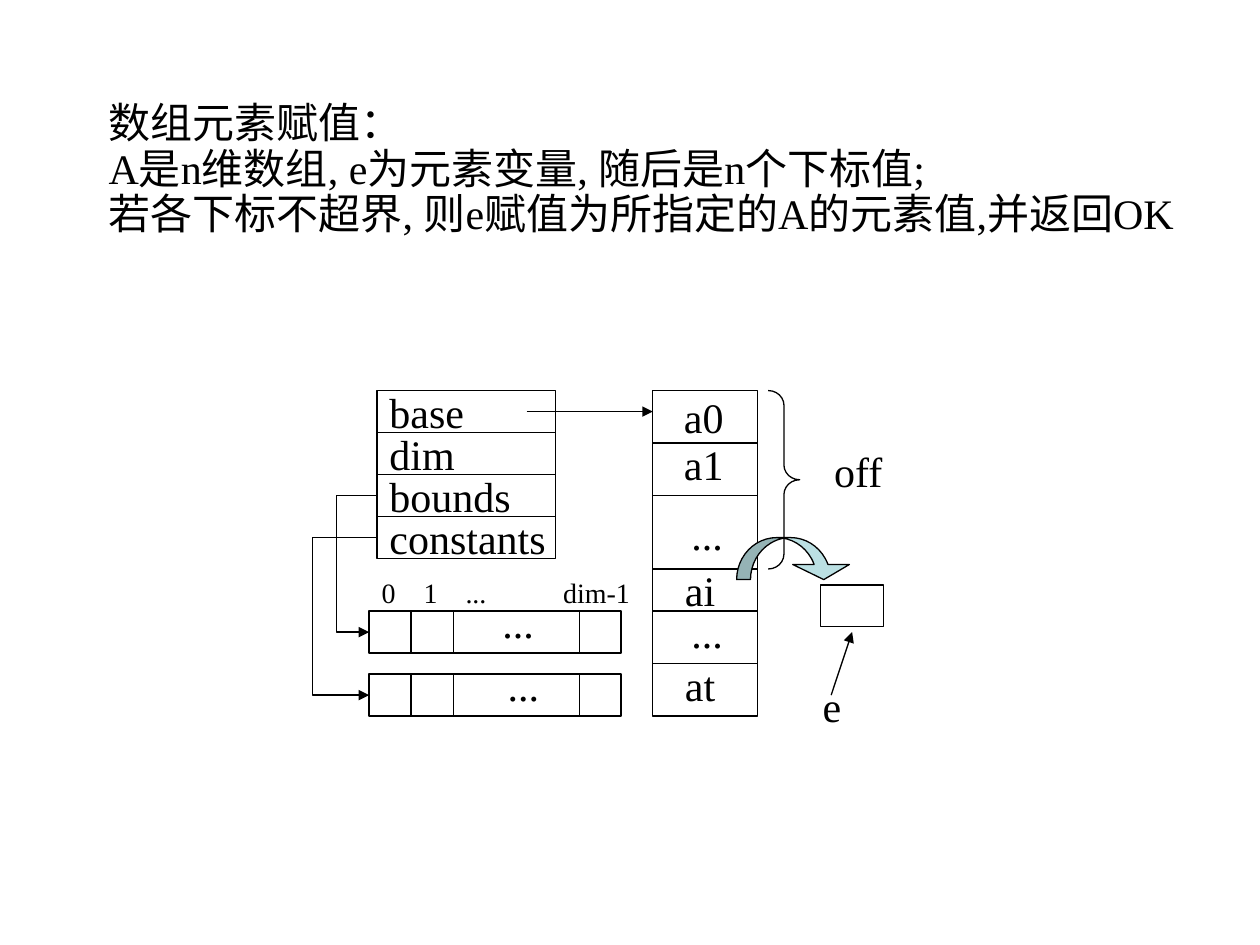
import pptx
import pptx.dml.color
import pptx.enum.shapes
import pptx.enum.text
import pptx.oxml
import pptx.oxml.ns
import pptx.util

BLACK = pptx.dml.color.RGBColor(0x00, 0x00, 0x00)
PALE_TEAL = pptx.dml.color.RGBColor(0xBB, 0xE0, 0xE3)
SHAPES = pptx.enum.shapes.MSO_SHAPE
CONNECTORS = pptx.enum.shapes.MSO_CONNECTOR


class Diagram:
    """Draws on a grid of 1/12 inch, starting at the top left of the diagram."""

    font_name = "Times New Roman"
    line_width = pptx.util.Pt(0.75)
    unit = 1 / 12
    left, top = 2.93, 3.1

    def __init__(self, slide):
        self.slide = slide

    def size(self, units):
        return pptx.util.Inches(units * self.unit)

    def point(self, column, row):
        return (pptx.util.Inches(self.left + column * self.unit),
                pptx.util.Inches(self.top + row * self.unit))

    def add_element(self, parent, tag, **attributes):
        element = pptx.oxml.parse_xml(f"<{tag} {pptx.oxml.ns.nsdecls('a')}/>")
        for name, value in attributes.items():
            element.set(name, str(value))
        parent.append(element)
        return element

    def shape(self, kind, column, row, width, height, adjustments=(), fill=None):
        shape = self.slide.shapes.add_shape(
            kind, *self.point(column, row), self.size(width), self.size(height))
        shape.shadow.inherit = False
        if fill is None:
            shape.fill.background()
        else:
            shape.fill.solid()
            shape.fill.fore_color.rgb = fill
        shape.line.color.rgb = BLACK
        shape.line.width = self.line_width
        for index, value in enumerate(adjustments):
            shape.adjustments[index] = value
        return shape

    def line(self, start, end, arrow=False, kind=CONNECTORS.STRAIGHT):
        connector = self.slide.shapes.add_connector(
            kind, *self.point(*start), *self.point(*end))
        connector.line.color.rgb = BLACK
        connector.line.width = self.line_width
        if arrow:
            self.add_element(connector.line._get_or_add_ln(), "a:tailEnd", type="triangle")
        self.add_element(connector._element.spPr, "a:effectLst")
        return connector

    def elbow(self, start, end, via_column):
        connector = self.line(start, end, arrow=True, kind=CONNECTORS.ELBOW)
        share = (via_column - start[0]) / (end[0] - start[0])
        guides = connector._element.spPr.prstGeom.get_or_add_avLst()
        self.add_element(guides, "a:gd", name="adj1", fmla=f"val {round(share * 100000)}")

    def text(self, text, column, row, width, height=6, points=24, wrap=False, tabs=()):
        box = self.slide.shapes.add_textbox(
            *self.point(column, row), self.size(width), self.size(height))
        frame = box.text_frame
        frame.word_wrap = wrap
        if not wrap:
            frame.auto_size = pptx.enum.text.MSO_AUTO_SIZE.SHAPE_TO_FIT_TEXT
        frame.text = text
        paragraph = frame.paragraphs[0]
        if tabs:
            tab_list = self.add_element(paragraph._p.get_or_add_pPr(), "a:tabLst")
            for tab in tabs:
                self.add_element(tab_list, "a:tab", pos=self.size(tab), algn="l")
        paragraph.font.name = self.font_name
        paragraph.font.size = pptx.util.Pt(points)
        paragraph.font.color.rgb = BLACK
        return box

    def column_of_cells(self, column, width, borders):
        """A box divided by horizontal lines at the inner borders."""
        self.shape(SHAPES.RECTANGLE, column, borders[0], width, borders[-1] - borders[0])
        for row in borders[1:-1]:
            self.line((column, row), (column + width, row))

    def row_of_cells(self, row, height, borders):
        """A box divided by vertical lines at the inner borders."""
        self.shape(SHAPES.RECTANGLE, borders[0], row, borders[-1] - borders[0], height)
        for column in borders[1:-1]:
            self.line((column, row), (column, row + height))


def main():
    presentation = pptx.Presentation()
    presentation.slide_width = pptx.util.Inches(10)
    presentation.slide_height = pptx.util.Inches(7.5)
    diagram = Diagram(presentation.slides.add_slide(presentation.slide_layouts[6]))

    # Title
    title = diagram.text(
        "数组元素赋值：\vA是n维数组, e为元素变量, 随后是n个下标值;\v"
        "若各下标不超界, 则e赋值为所指定的A的元素值,并返回OK",
        -26, -29.7, 108, 17.5, wrap=True)
    title.text_frame.vertical_anchor = pptx.enum.text.MSO_ANCHOR.MIDDLE
    title.text_frame.paragraphs[0].line_spacing = 0.9

    # Array elements
    diagram.column_of_cells(27, 10, (0, 5, 10, 17, 21, 26, 31))
    for label, column, row, width in (
            ("a0", 28.8, -0.5, 6.2), ("a1", 28.8, 4, 6.2), ("...", 29.5, 10.6, 5.4),
            ("ai", 28.9, 16, 5.3), ("...", 29.5, 20, 5.4), ("at", 28.9, 25, 5.3)):
        diagram.text(label, column, row, width)

    # Array record
    record_left, cell_height = 0.75, 4
    diagram.column_of_cells(record_left, 17, range(0, 17, cell_height))
    fields = (("base", 9.5), ("dim", 8.6), ("bounds", 14), ("constants", 17.3))
    for index, (field, width) in enumerate(fields):
        diagram.text(field, record_left, index * cell_height - 1, width)
    diagram.line((15, 2), (27, 2), arrow=True)

    # Bounds and constants, each reached from its field of the record
    diagram.text("0\t1\t...\tdim-1", 0, 17, 28, 4.4, points=16, wrap=True, tabs=(4, 8, 17.3))
    for row, dots_column, field_row, via_column in ((21, 11.5, 10, -3.1), (27, 12, 14, -5.4)):
        diagram.row_of_cells(row, cell_height, (0, 4, 8, 20, 24))
        diagram.text("...", dots_column, row - 2, 5.4)
        diagram.elbow((record_left, field_row), (0, row + cell_height / 2), via_column)

    # Offset and the assigned element
    diagram.shape(SHAPES.RIGHT_BRACE, 38, 0, 3, 17, (0.47, 0.5))
    diagram.text("off", 43.1, 4.6, 7.1)
    diagram.text("e", 42, 27, 4.2)
    diagram.shape(SHAPES.RECTANGLE, 43, 18.5, 6, 4)
    diagram.shape(SHAPES.CURVED_DOWN_ARROW, 35, 14, 11, 4, (0.33, 1.35, 0.36), PALE_TEAL)
    diagram.line((44, 29), (46, 23), arrow=True)

    presentation.save("out.pptx")


if __name__ == "__main__":
    main()
